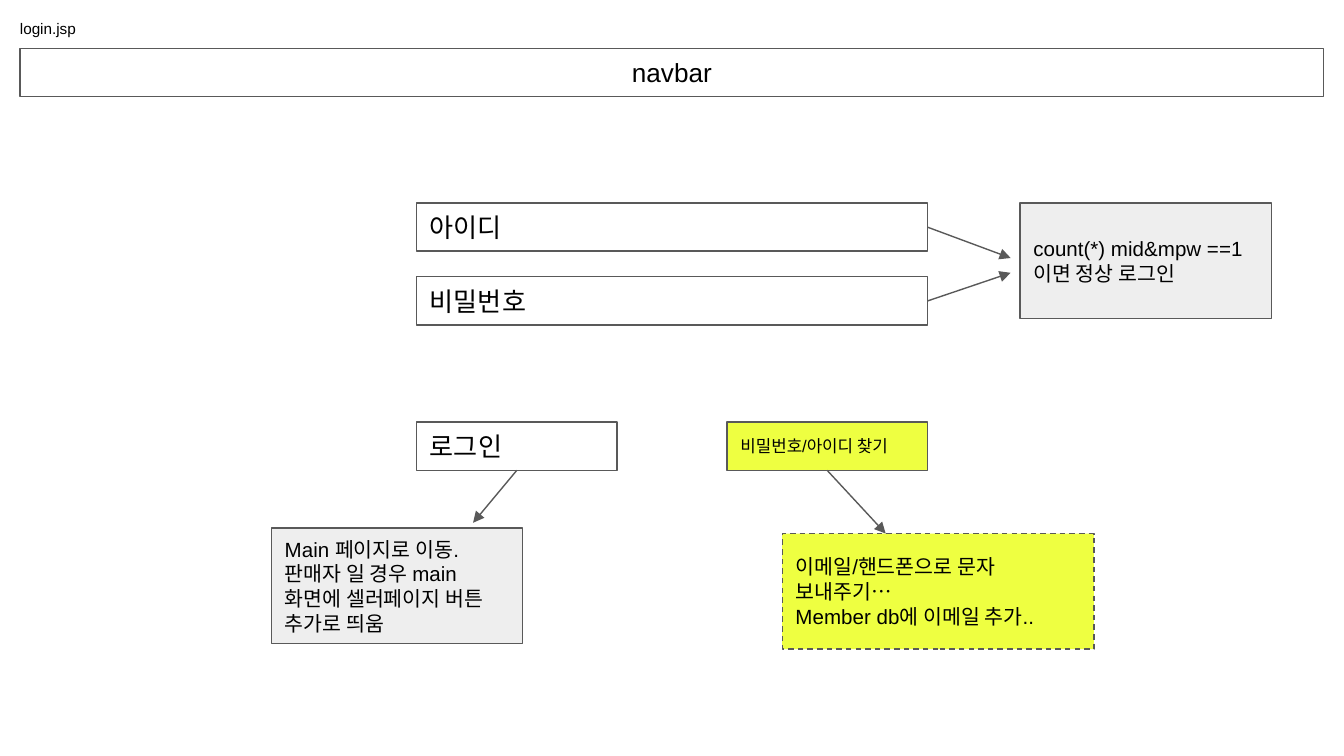
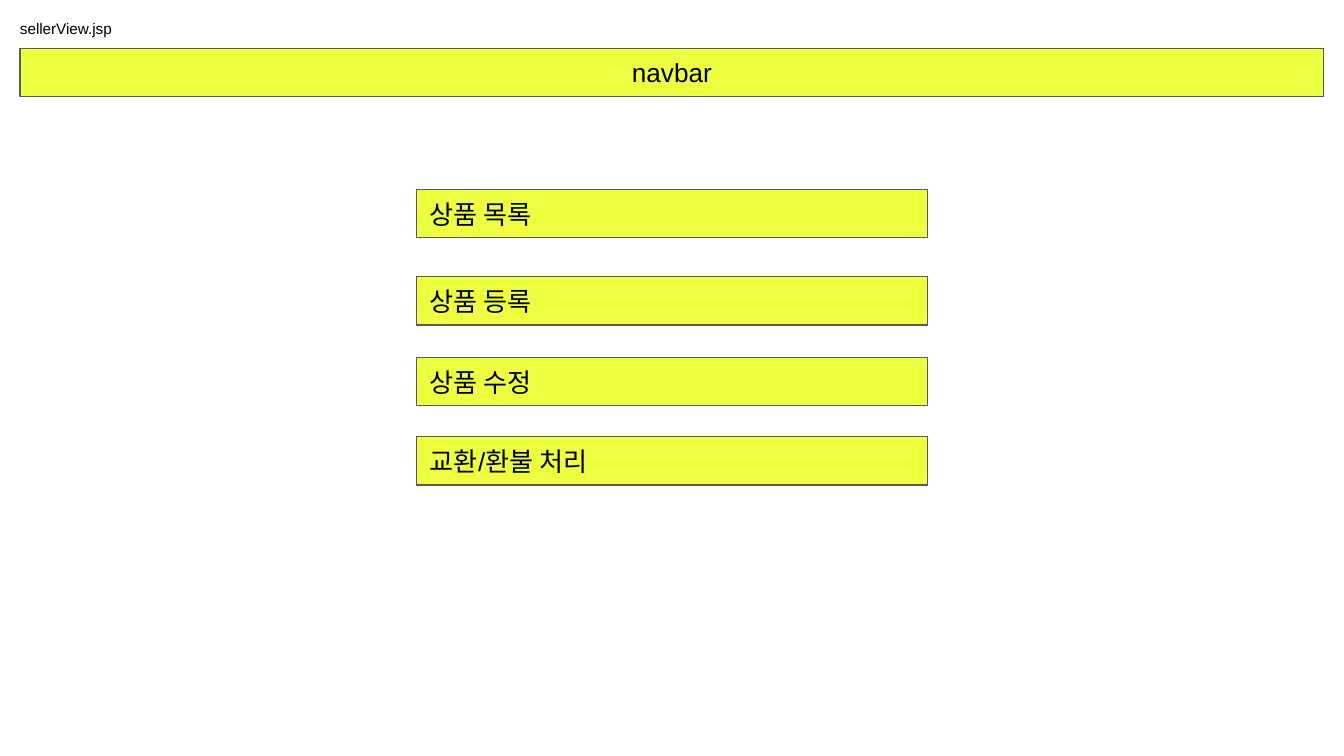
import dataclasses

import lxml.etree
import pptx
import pptx.dml.color
import pptx.enum.dml
import pptx.enum.shapes
import pptx.enum.text
import pptx.oxml.ns
import pptx.util


@dataclasses.dataclass(frozen=True)
class Theme:
    font: str = "Arial"
    ink: str = "000000"
    edge: str = "595959"
    plain: str = "FFFFFF"
    note: str = "EEEEEE"
    mark: str = "EEFF41"
    large: float = 14
    body: float = 11
    small: float = 9
    label: float = 8.2
    stroke: float = 0.75


theme = Theme()
rgb = pptx.dml.color.RGBColor.from_string
align = pptx.enum.text.PP_ALIGN
qn = pptx.oxml.ns.qn

deck = pptx.Presentation()
deck.slide_width = pptx.util.Inches(10)
deck.slide_height = deck.slide_width * 9 // 16
blank = deck.slide_layouts[6]
unit = deck.slide_width / 100

left, wide, half, tall = 31, 38, 14.9, 3.6
right = left + wide - half
note_wide, note_tall = 18.7, 8.6


def box(slide, text, place, size=theme.large, fill=theme.plain, side=align.LEFT):
    spot = [round(n * unit) for n in place]
    if fill is None:
        shape = slide.shapes.add_textbox(*spot)
    else:
        shape = slide.shapes.add_shape(pptx.enum.shapes.MSO_SHAPE.RECTANGLE, *spot)
        shape.shadow.inherit = False
        shape.fill.solid()
        shape.fill.fore_color.rgb = rgb(fill)
        shape.line.color.rgb = rgb(theme.edge)
        shape.line.width = pptx.util.Pt(theme.stroke)
    frame = shape.text_frame
    frame.text = text
    frame.word_wrap = True
    anchor = pptx.enum.text.MSO_ANCHOR
    frame.vertical_anchor = anchor.TOP if fill is None else anchor.MIDDLE
    frame.margin_left = frame.margin_right = frame.margin_top = round(unit)
    frame.margin_bottom = 0 if fill is None else round(unit)
    for para in frame.paragraphs:
        para.alignment = side
        for run in para.runs:
            run.font.name = theme.font
            run.font.size = pptx.util.Pt(size)
            run.font.color.rgb = rgb(theme.ink)
    return shape


def arrow(slide, source, site, x, y):
    end = round(x * unit), round(y * unit)
    line = slide.shapes.add_connector(pptx.enum.shapes.MSO_CONNECTOR.STRAIGHT, *end, *end)
    line.begin_connect(source, site)
    line.line.color.rgb = rgb(theme.edge)
    line.line.width = pptx.util.Pt(theme.stroke)
    props = line.line._get_or_add_ln()
    lxml.etree.SubElement(props, qn("a:tailEnd"), type="triangle")
    lxml.etree.SubElement(props.getparent(), qn("a:effectLst"))


pages = []
for name, fill in (("login.jsp", theme.plain), ("sellerView.jsp", theme.mark)):
    slide = deck.slides.add_slide(blank)
    box(slide, name, (0.5, 0.4, 10.1, 3.1), theme.label, None)
    box(slide, "navbar", (1.5, 3.6, 97, tall), fill=fill, side=align.CENTER)
    pages.append(slide)
login, seller = pages

user = box(login, "아이디", (left, 15.1, wide, tall))
word = box(login, "비밀번호", (left, 20.6, wide, tall))
enter = box(login, "로그인", (left, 31.4, half, tall))
find = box(login, "비밀번호/아이디 찾기", (right, 31.4, half, tall), theme.small, theme.mark)

box(login, "count(*) mid&mpw ==1\n이면 정상 로그인",
    (75.9, 15.1, note_wide, note_tall), theme.body, theme.note)
box(login, "Main 페이지로 이동.\n판매자 일 경우 main 화면에 셀러페이지 버튼 추가로 띄움",
    (20.2, 39.3, note_wide, note_tall), theme.body, theme.note)
mail = box(login, "이메일/핸드폰으로 문자 보내주기…\nMember db에 이메일 추가..",
           (58.2, 39.7, 23.2, note_tall), theme.body, theme.mark)
mail.line.dash_style = pptx.enum.dml.MSO_LINE.DASH

base, edge = 2, 3
for source, site, x, y in (
    (user, edge, 75.2, 19.2),
    (word, edge, 75.2, 20.3),
    (enter, base, 35.2, 38.9),
    (find, base, 65.9, 39.7),
):
    arrow(login, source, site, x, y)

items = ("상품 목록", "상품 등록", "상품 수정", "교환/환불 처리")
for text, row in zip(items, (14.1, 20.6, 26.6, 32.5)):
    box(seller, text, (left, row, wide, tall), fill=theme.mark)

deck.save("out.pptx")
